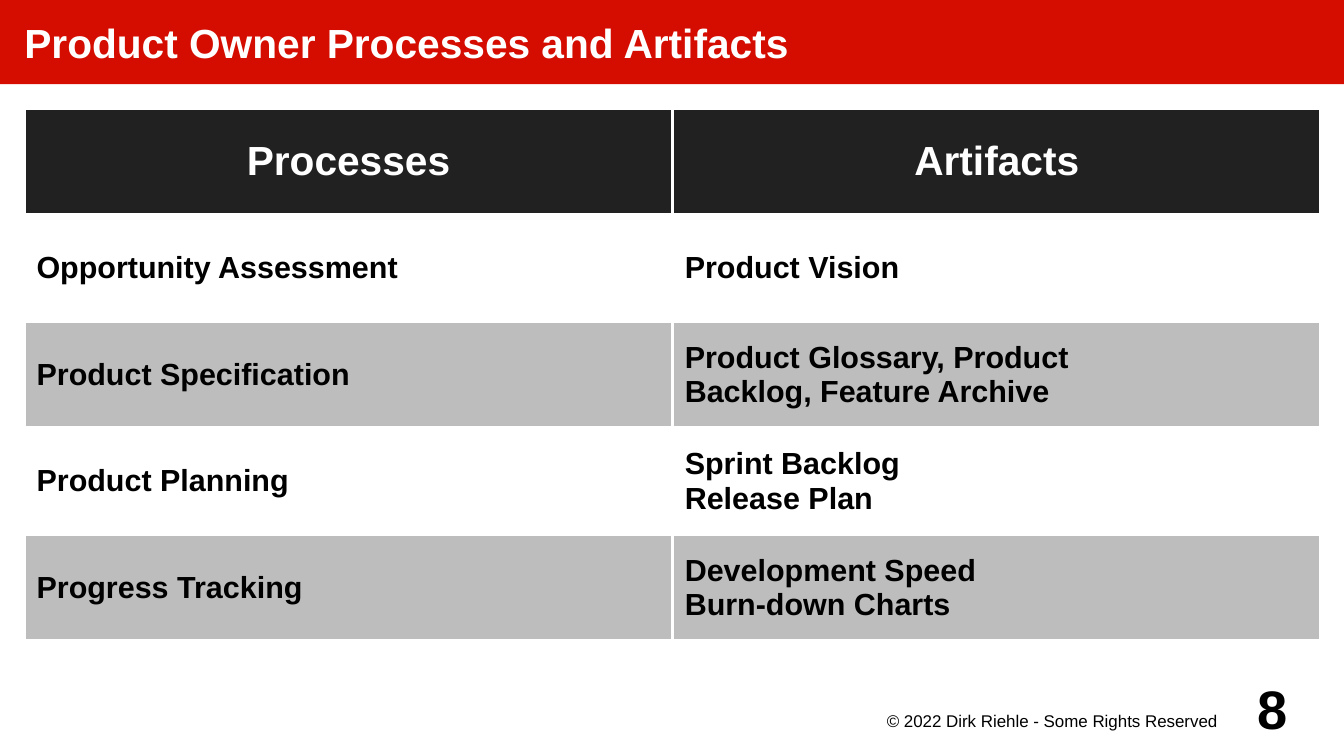
import lxml.etree
import pptx
import pptx.dml.color
import pptx.enum.text
import pptx.oxml.ns
import pptx.util

Inches = pptx.util.Inches
ALIGN = pptx.enum.text.PP_ALIGN
MIDDLE = pptx.enum.text.MSO_ANCHOR.MIDDLE
TOP = pptx.enum.text.MSO_ANCHOR.TOP

RED, DARK, GREY = "D50D01", "212121", "BDBDBD"
WHITE, BLACK = "FFFFFF", "000000"

# Within a cell, \n starts a paragraph and \v breaks a line.
ROWS = [
    ("Processes", "Artifacts"),
    ("Opportunity Assessment", "Product Vision"),
    ("Product Specification",
     "Product Glossary, Product\vBacklog, Feature Archive"),
    ("Product Planning", "Sprint Backlog\nRelease Plan"),
    ("Progress Tracking", "Development Speed\nBurn-down Charts"),
]


def rgb(color):
    return pptx.dml.color.RGBColor.from_string(color)


def fill_solid(target, color):
    target.fill.solid()
    target.fill.fore_color.rgb = rgb(color)


def write(frame, text, size, color, bold, align):
    frame.text = text
    for paragraph in frame.paragraphs:
        paragraph.alignment = align
        font = paragraph.font
        font.name = "Arial"
        font.size = pptx.util.Pt(size)
        font.bold = bold
        font.color.rgb = rgb(color)


def set_frame(frame, anchor, left=0, top=0, right=0):
    frame.word_wrap = True
    frame.auto_size = pptx.enum.text.MSO_AUTO_SIZE.NONE
    frame.vertical_anchor = anchor
    frame.margin_left = Inches(left)
    frame.margin_top = Inches(top)
    frame.margin_right = Inches(right)
    frame.margin_bottom = 0


def set_borders(cell, color, width):
    """Draw all four cell borders; call before filling the cell."""
    properties = cell._tc.get_or_add_tcPr()
    qn = pptx.oxml.ns.qn
    for side in ("lnL", "lnR", "lnT", "lnB"):
        border = lxml.etree.SubElement(properties, qn(f"a:{side}"),
                                       w=str(pptx.util.Pt(width)))
        solid = lxml.etree.SubElement(border, qn("a:solidFill"))
        lxml.etree.SubElement(solid, qn("a:srgbClr"), val=color)


def add_title(slide, text):
    title = slide.shapes.title
    title.left, title.top = 0, 0
    title.width, title.height = Inches(11.02), Inches(0.69)
    fill_solid(title, RED)
    set_frame(title.text_frame, MIDDLE, left=0.2)
    write(title.text_frame, text, 24, WHITE, True, ALIGN.LEFT)


def add_process_table(slide):
    table = slide.shapes.add_table(
        len(ROWS), 2, Inches(0.2), Inches(0.89),
        Inches(10.63), Inches(4.37)).table
    for row_index, texts in enumerate(ROWS):
        is_header = row_index == 0
        if is_header:
            background, size, color, align = DARK, 24, WHITE, ALIGN.CENTER
        else:
            background = WHITE if row_index % 2 else GREY
            size, color, align = 18, BLACK, ALIGN.LEFT
        for column_index, text in enumerate(texts):
            cell = table.cell(row_index, column_index)
            set_borders(cell, WHITE, 2.27)
            fill_solid(cell, background)
            cell.vertical_anchor = MIDDLE
            write(cell.text_frame, text, size, color, True, align)


def add_footer_text(slide, box, text, size, bold, anchor, **margins):
    frame = slide.shapes.add_textbox(*map(Inches, box)).text_frame
    set_frame(frame, anchor, **margins)
    write(frame, text, size, BLACK, bold, ALIGN.CENTER)


def main():
    deck = pptx.Presentation()
    deck.slide_width, deck.slide_height = Inches(11.02), Inches(6.2)
    slide = deck.slides.add_slide(deck.slide_layouts.get_by_name("Title Only"))
    add_title(slide, "Product Owner Processes and Artifacts")
    add_process_table(slide)
    add_footer_text(slide, (7.09, 5.81, 3.15, 0.3),
                    "© 2022 Dirk Riehle - Some Rights Reserved",
                    10, False, TOP, top=0.02, right=0.08)
    add_footer_text(slide, (10.04, 5.51, 0.79, 0.59), "8", 32, True, MIDDLE)
    deck.save("out.pptx")


if __name__ == "__main__":
    main()
